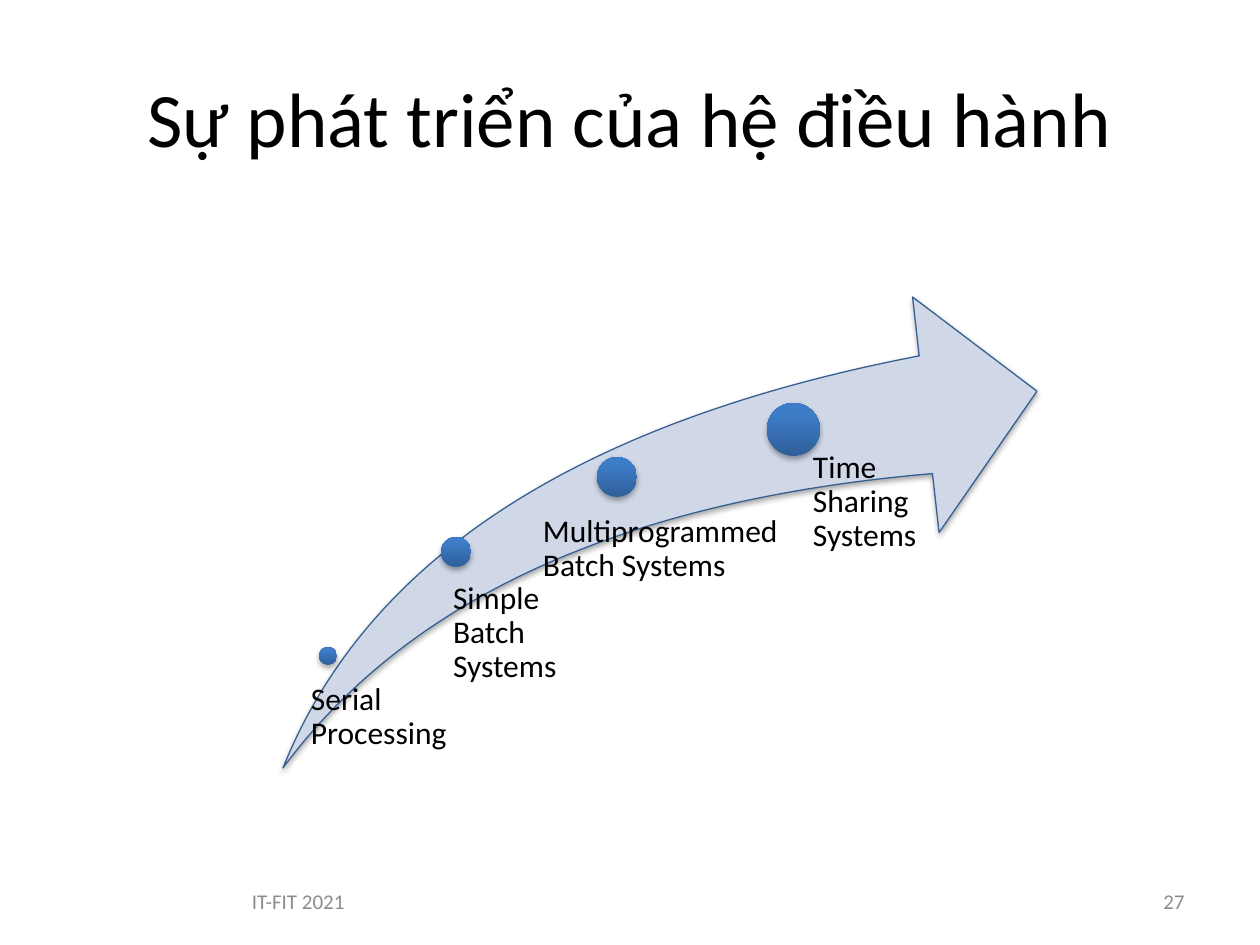
"""Build the slide on the development of operating systems."""
from lxml import etree
from pptx import Presentation, util as u
from pptx.dml.color import RGBColor
from pptx.enum import shapes, text
from pptx.oxml import parse_xml

PIXEL = u.Inches(1) / 126
FONT = "Calibri"
BLACK = RGBColor(0x00, 0x00, 0x00)
GRAY = RGBColor(0x8C, 0x8C, 0x8C)
PALE_BLUE = RGBColor(0xD0, 0xD8, 0xE8)
LINE_BLUE = RGBColor(0x37, 0x60, 0x92)
DARK_BLUE = RGBColor(0x2F, 0x5F, 0x99)
BRIGHT_BLUE = RGBColor(0x3D, 0x7C, 0xC7)

ALIGN = text.PP_ALIGN
HEADINGS = [
    ("Sự phát triển của hệ điều hành", (63, 38, 1134, 158), 44, BLACK, ALIGN.CENTER),
    ("IT-FIT 2021", (63, 876, 294, 50), 12, GRAY, ALIGN.RIGHT),
    ("27", (903, 876, 294, 50), 12, GRAY, ALIGN.RIGHT),
]
ARROW = (283, 297, 754, 471)
STAGES = [
    ("Serial Processing", (319, 647, 18, 18), (302, 683, 179, 58), 9),
    ("Simple Batch Systems", (441, 537, 30, 30), (437, 582, 159, 86), 16),
    ("Multiprogrammed Batch Systems", (597, 457, 40, 40), (522, 515, 281, 76), 21),
    ("Time Sharing Systems", (767, 403, 53, 53), (784, 451, 137, 107), 29),
]
SHADOW = (
    '<a:outerShdw xmlns:a="http://schemas.openxmlformats.org/drawingml/2006/main"'
    ' blurRad="40000" dist="23000" dir="5400000" rotWithShape="0">'
    '<a:srgbClr val="000000"><a:alpha val="35000"/></a:srgbClr></a:outerShdw>'
)


def emu(pixels):
    return u.Emu(round(pixels * PIXEL))


def add_text(slide, words, box, size, color, align):
    frame = slide.shapes.add_textbox(*map(emu, box)).text_frame
    frame.word_wrap = True
    paragraph = frame.paragraphs[0]
    paragraph.text = words
    paragraph.alignment = align
    paragraph.font.name = FONT
    paragraph.font.size = u.Pt(size)
    paragraph.font.color.rgb = color
    return frame


def add_shadowed(slide, kind, box):
    shape = slide.shapes.add_shape(kind, *map(emu, box))
    shape.shadow.inherit = False
    shape.line.fill.background()
    effects = shape._element.spPr.find("{*}effectLst")
    effects.append(parse_xml(SHADOW))
    return shape


def add_dot(slide, box):
    fill = add_shadowed(slide, shapes.MSO_SHAPE.OVAL, box).fill
    fill.gradient()
    fill.gradient_angle = 90
    for stop, position, color in zip(fill.gradient_stops, (0, 0.8), (DARK_BLUE, BRIGHT_BLUE)):
        stop.position = position
        stop.color.rgb = color


def add_label(slide, words, box, inset):
    frame = add_text(slide, words, box, 18, BLACK, ALIGN.LEFT)
    frame.margin_left = emu(inset)
    frame.margin_top = frame.margin_right = frame.margin_bottom = 0
    frame.paragraphs[0].line_spacing = 0.9


presentation = Presentation()
presentation.slide_width, presentation.slide_height = u.Inches(10), u.Inches(7.5)
slide = presentation.slides.add_slide(presentation.slide_layouts[6])

for heading in HEADINGS:
    add_text(slide, *heading).vertical_anchor = text.MSO_ANCHOR.MIDDLE

arrow = add_shadowed(slide, shapes.MSO_SHAPE.SWOOSH_ARROW, ARROW)
arrow.adjustments[0] = arrow.adjustments[1] = 0.25
arrow.fill.solid()
arrow.fill.fore_color.rgb = PALE_BLUE
arrow.line.color.rgb = LINE_BLUE
arrow.line.width = u.Pt(0.75)

for words, dot, label, inset in STAGES:
    add_dot(slide, dot)
    add_label(slide, words, label, inset)

presentation.save("out.pptx")
